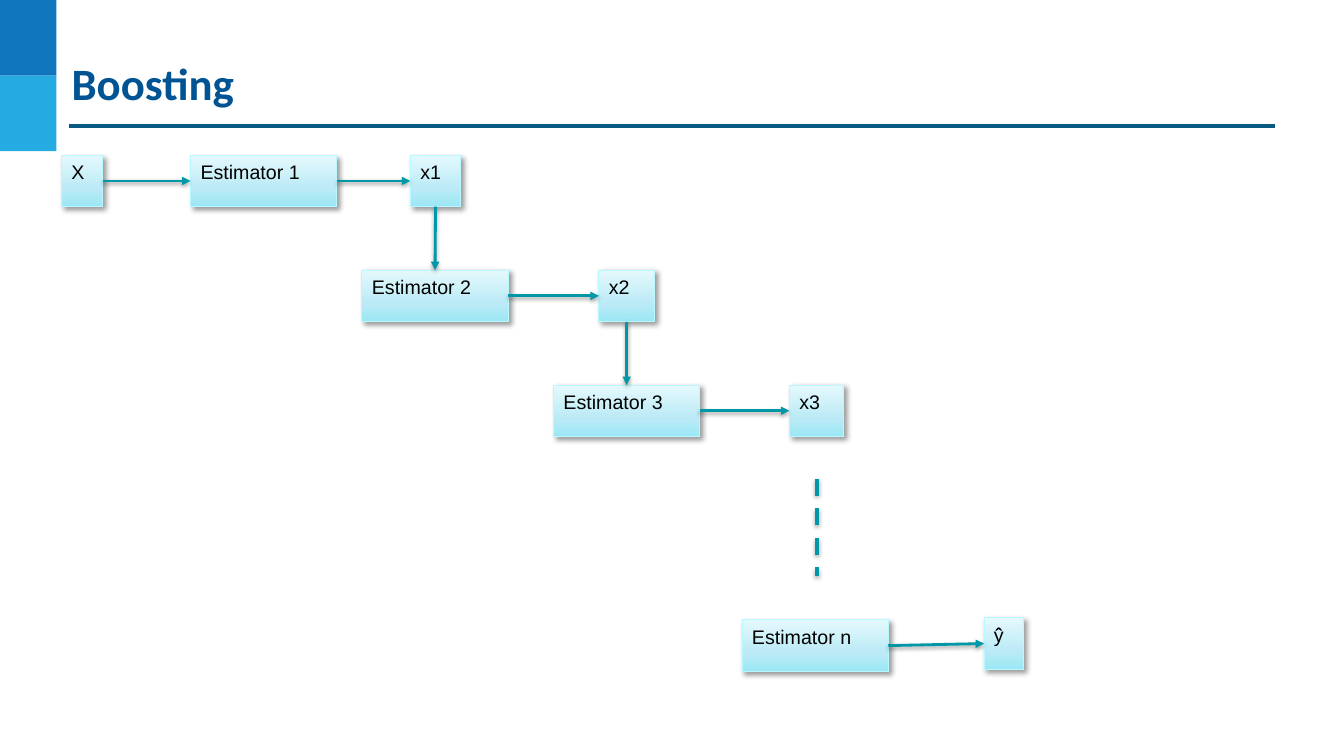
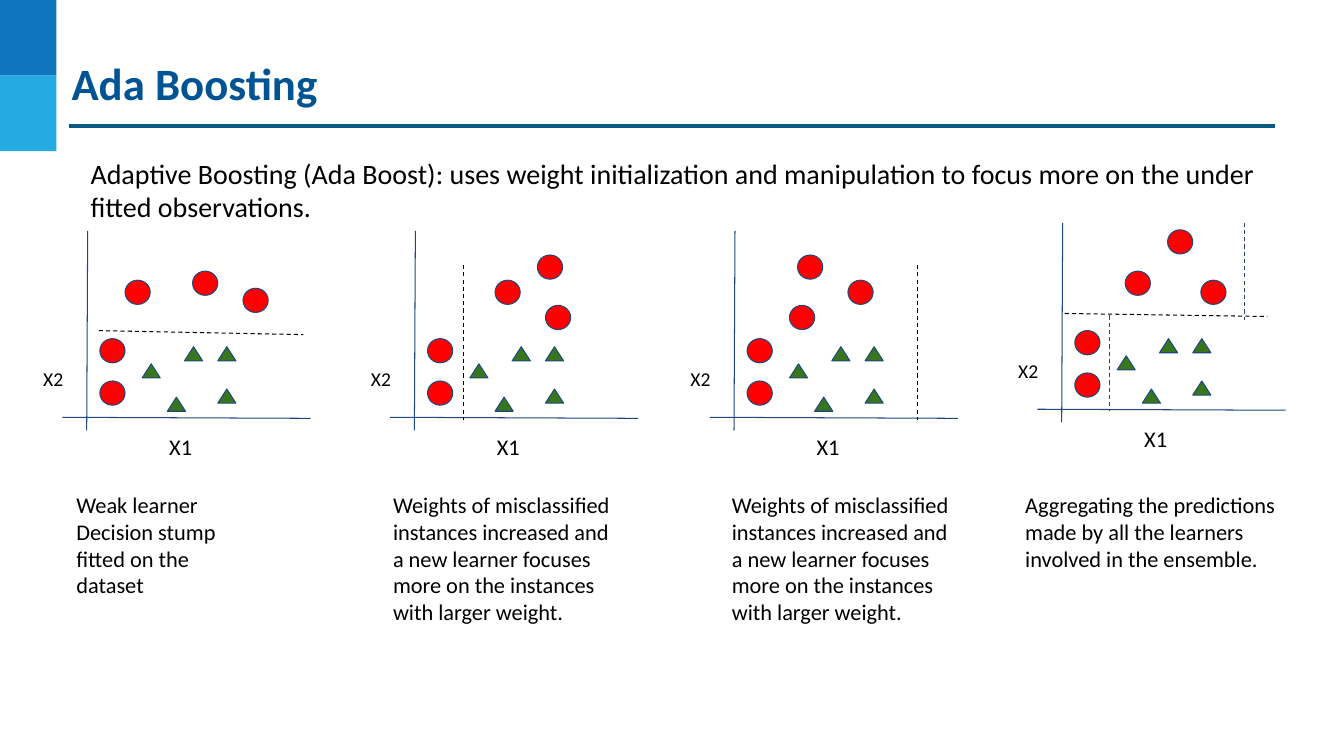
import lxml.etree
import pptx
import pptx.dml.color
import pptx.enum.dml
import pptx.enum.shapes
import pptx.enum.text
import pptx.oxml.ns
import pptx.util

Inches = pptx.util.Inches
Pt = pptx.util.Pt
rgb = pptx.dml.color.RGBColor.from_string
qn = pptx.oxml.ns.qn
add = lxml.etree.SubElement
KIND = pptx.enum.shapes.MSO_SHAPE
DASH = pptx.enum.dml.MSO_LINE.DASH

BLACK, NAVY, TEAL = "000000", "1F497D", "0097A7"


def put(page, kind, at, fill=None, edge=None, text=(), size=16,
        font="Calibri", hue=BLACK, bold=False, inset=(0.1, 0.1)):
    """Add a shape, or a text box if kind is None; text is a list of paragraphs."""
    area = [Inches(n) for n in at]
    if kind is None:
        shape = page.shapes.add_textbox(*area)
    else:
        shape = page.shapes.add_shape(kind, *area)
    if fill:
        shape.fill.solid()
        shape.fill.fore_color.rgb = rgb(fill)
    else:
        shape.fill.background()
    if edge:
        shape.line.color.rgb = rgb(edge)
        shape.line.width = Pt(0.75)
    else:
        shape.line.fill.background()
    shape.shadow.inherit = False

    frame = shape.text_frame
    frame.word_wrap = True
    frame.vertical_anchor = pptx.enum.text.MSO_ANCHOR.TOP
    frame.margin_left = frame.margin_right = Inches(inset[0])
    frame.margin_top = frame.margin_bottom = Inches(inset[1])
    for i, words in enumerate(text):
        para = frame.add_paragraph() if i else frame.paragraphs[0]
        para.alignment = pptx.enum.text.PP_ALIGN.LEFT
        run = para.add_run()
        run.text = words
        run.font.name = font
        run.font.size = Pt(size)
        run.font.bold = bold
        run.font.color.rgb = rgb(hue)
    return shape


def draw(page, ends, hue, width=0.75, dash=None):
    """Add a straight line; ends is x1, y1, x2, y2."""
    line = page.shapes.add_connector(
        pptx.enum.shapes.MSO_CONNECTOR.STRAIGHT, *[Inches(n) for n in ends])
    line.line.color.rgb = rgb(hue)
    line.line.width = Pt(width)
    if dash:
        line.line.dash_style = dash
    add(line._element.spPr, qn("a:effectLst"))
    return line


deck = pptx.Presentation()
deck.slide_width = Inches(13.33)
deck.slide_height = Inches(7.5)

# Shared frame: two bands, a rule and the title
pages = []
for title in ("Boosting", "Ada Boosting"):
    page = deck.slides.add_slide(deck.slide_layouts[6])
    for i, hue in enumerate(("0F75BD", "25AAE2")):
        put(page, KIND.RECTANGLE, (0, i * 0.75, 0.56, 0.75), hue)
    draw(page, (0.68, 1.25, 12.65, 1.25), "095A82", 2.25)
    put(page, None, (0.69, 0.53, 12.29, 0.83), text=[title], size=32,
        hue="005493", bold=True, inset=(0.02, 0.02))
    pages.append(page)
flow, ada = pages

# Slide 1: chain of estimators
nodes = [  # text, left, top, width
    ("X", 0.61, 1.54, 0.41), ("Estimator 1", 1.89, 1.54, 1.45),
    ("x1", 4.07, 1.54, 0.5), ("Estimator 2", 3.59, 2.68, 1.45),
    ("x2", 5.94, 2.68, 0.55), ("Estimator 3", 5.49, 3.82, 1.45),
    ("x3", 7.83, 3.82, 0.54), ("Estimator n", 7.36, 6.15, 1.45),
    ("ŷ̂", 9.76, 6.13, 0.39),
]
cast = []  # shape, then shadow opacity, blur, distance and angle
boxes = {}
for name, left, top, wide in nodes:
    box = put(flow, KIND.RECTANGLE, (left, top, wide, 0.51), edge="BAF8FF",
              text=[name], size=14, font="Arial", inset=(0.1, 0.05))
    box.fill.gradient()
    box.fill.gradient_angle = 90
    stops = box._element.spPr.find(qn("a:gradFill")).find(qn("a:gsLst"))
    for stop in list(stops):
        stops.remove(stop)
    for spot, hue in ((0, "9CE7F5"), (35, "BBEAF6"), (100, "E4F9FC")):
        stop = add(stops, qn("a:gs"), pos=str(spot * 1000))
        add(stop, qn("a:srgbClr"), val=hue)
    boxes[name] = box
    cast.append((box, 40, 4, 3, 45))

RIGHT, DOWN = (3, 1), (2, 0)  # sides left and entered
links = [
    ("X", "Estimator 1", RIGHT), ("Estimator 1", "x1", RIGHT),
    ("x1", "Estimator 2", DOWN), ("Estimator 2", "x2", RIGHT),
    ("x2", "Estimator 3", DOWN), ("Estimator 3", "x3", RIGHT),
    ("Estimator n", "ŷ̂", RIGHT),
]
for start, end, sides in links:
    arrow = draw(flow, (0, 0, 0, 0), TEAL, 2)
    arrow.begin_connect(boxes[start], sides[0])
    arrow.end_connect(boxes[end], sides[1])
    add(arrow.line._get_or_add_ln(), qn("a:tailEnd"), type="triangle")
    cast.append((arrow, 37, 3.1, 1.6, 90))

gap = draw(flow, (8.1, 4.75, 8.1, 5.71), TEAL, 3, DASH)
cast.append((gap, 34, 3.1, 1.8, 90))

for shape, alpha, blur, dist, angle in cast:
    shade = add(shape._element.spPr.find(qn("a:effectLst")), qn("a:outerShdw"),
                blurRad=str(Pt(blur)), dist=str(Pt(dist)),
                dir=str(angle * 60000), rotWithShape="0")
    tint = add(shade, qn("a:srgbClr"), val=BLACK)
    add(tint, qn("a:alpha"), val=str(alpha * 1000))

# Slide 2: lead text, then four plots with notes
lead = put(ada, None, (0.69, 1.45, 12, 1.55), size=20, text=[
    "Adaptive Boosting (Ada Boost): uses weight initialization and "
    "manipulation to focus more on the under fitted observations."])
indent = lead.text_frame.paragraphs[0]._p.get_or_add_pPr()
indent.set("marL", str(Inches(0.11)))
indent.set("indent", "0")

heavy = ("Weights of misclassified instances increased and a new learner "
         "focuses more on the instances with larger weight.")
notes = [  # left, width, height, paragraphs
    (0.66, 1.94, 1.28, ["Weak learner", "Decision stump fitted on the dataset"]),
    (3.8, 2.46, 1.55, [heavy]),
    (7.16, 2.35, 1.82, [heavy]),
    (10.07, 2.94, 1.01, ["Aggregating the predictions made by all the "
                         "learners involved in the ensemble."]),
]
for left, wide, high, text in notes:
    note = put(ada, None, (left, 4.77, wide, high), text=text)
    note.text_frame.auto_size = pptx.enum.text.MSO_AUTO_SIZE.SHAPE_TO_FIT_TEXT

# Places inside a plot are those of the first plot; dx, dy shift them
axes = [(0.87, 2.29, 0.86, 4.27), (0.62, 4.14, 3.08, 4.15)]
cones = [(1.41, 3.61), (1.83, 3.44), (1.66, 3.94), (2.16, 3.44), (2.16, 3.86)]
discs = [(0.99, 3.36), (0.99, 3.78)]
plots = [  # dx, dy, upper discs, splits
    (0, 0, [(1.24, 2.78), (2.41, 2.86), (1.91, 2.69)],
     [(BLACK, 0.98, 3.28, 3.01, 3.32)]),
    (3.25, 0, [(1.66, 2.78), (2.08, 2.53), (2.16, 3.03)],
     [(BLACK, 1.35, 2.63, 1.35, 4.17)]),
    (6.42, 0, [(1.49, 2.53), (1.99, 2.78), (1.41, 3.03)],
     [(BLACK, 2.68, 2.63, 2.68, 4.17)]),
    (9.67, -0.08, [(1.49, 2.77), (1.91, 2.36), (2.24, 2.86)],
     [(BLACK, 0.89, 3.19, 2.9, 3.22), (NAVY, 1.33, 3.21, 1.33, 4.16),
      (NAVY, 2.67, 2.29, 2.67, 3.25)]),
]
for dx, dy, upper, splits in plots:
    put(ada, None, (1.58 + dx, 4.2 + dy, 0.58, 0.47), text=["X1"])
    put(ada, None, (0.33 + dx, 3.54 + dy, 0.42, 0.44), text=["X2"], size=14)
    for x1, y1, x2, y2 in axes:
        draw(ada, (x1 + dx, y1 + dy, x2 + dx, y2 + dy), NAVY)
    for x, y in cones:
        put(ada, KIND.ISOSCELES_TRIANGLE, (x + dx, y + dy, 0.18, 0.14),
            "38761D", NAVY)
    for x, y in discs + upper:
        put(ada, KIND.OVAL, (x + dx, y + dy, 0.25, 0.24), "FF0000", NAVY)
    for hue, x1, y1, x2, y2 in splits:
        draw(ada, (x1 + dx, y1 + dy, x2 + dx, y2 + dy), hue, dash=DASH)

deck.save("out.pptx")
